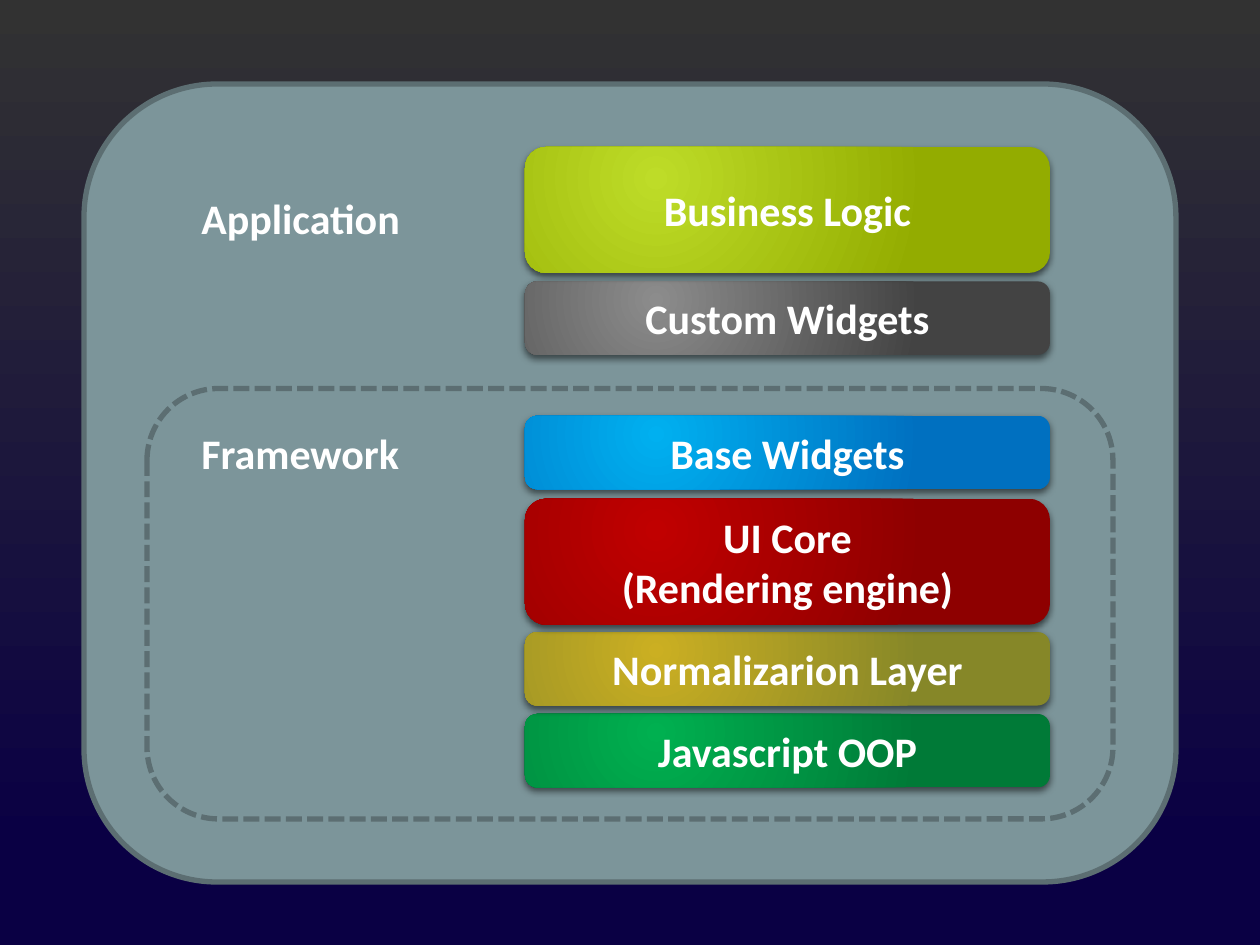
from lxml.etree import SubElement as Sub
from pptx import Presentation
from pptx.dml.color import RGBColor
from pptx.enum.dml import MSO_LINE as Dash
from pptx.enum.shapes import MSO_SHAPE as Kind
from pptx.enum.text import MSO_ANCHOR as Anchor, MSO_AUTO_SIZE as Auto, PP_ALIGN as Align
from pptx.oxml.ns import qn
from pptx.util import Pt

HUES = {
    "navy": "0A0044", "coal": "323232", "panel": "7C959A", "edge": "5C6E72",
    "text": "FFFFFF", "shade": "000000",
    "green": ("00B050", "007A37"), "gold": ("CBAF22", "868728"),
    "red": ("C00000", "8E0000"), "blue": ("00B0F0", "0070C0"),
    "grey": ("8C8C8C", "434343"), "lime": ("BEDC28", "93AC00"),
}
# Layers from the bottom up: top, height, hue, lines
LAYERS = [
    (408, 42, "green", ["Javascript OOP"]),
    (361.2, 42, "gold", ["Normalizarion Layer"]),
    (285, 72, "red", ["UI Core", "(Rendering engine)"]),
    (237.6, 42, "blue", ["Base Widgets"]),
    (160.8, 42, "grey", ["Custom Widgets"]),
    (84, 72, "lime", ["Business Logic"]),
]


def rgb(code):
    return RGBColor.from_string(code)


def blend(fill, pair, start=0):
    fill.gradient()
    for stop, code, spot in zip(fill.gradient_stops, pair, (start, 1)):
        stop.color.rgb = rgb(code)
        stop.position = spot


def write(frame, lines, align):
    for i, line in enumerate(lines):
        para = frame.add_paragraph() if i else frame.paragraphs[0]
        para.alignment = align
        run = para.add_run()
        run.text = line
        font = run.font
        font.name, font.size, font.bold = "Calibri", Pt(24), True
        font.color.rgb = rgb(HUES["text"])


def box(shapes, *area):
    shape = shapes.add_shape(Kind.ROUNDED_RECTANGLE, *map(Pt, area))
    shape.shadow.inherit = False
    return shape


def border(shapes, area, hue=None, dash=None):
    shape = box(shapes, *area)
    if hue:
        shape.fill.solid()
        shape.fill.fore_color.rgb = rgb(HUES[hue])
    else:
        shape.fill.background()
    shape.line.color.rgb = rgb(HUES["edge"])
    shape.line.width = Pt(3.03)
    if dash:
        shape.line.dash_style = dash


def label(shapes, text, *area):
    frame = shapes.add_textbox(*map(Pt, area)).text_frame
    frame.word_wrap = False
    frame.auto_size = Auto.SHAPE_TO_FIT_TEXT
    write(frame, [text], Align.LEFT)


def glow(shape):
    # Radial gradient centred a quarter of the way in
    grad = shape.element.spPr.find(qn("a:gradFill"))
    grad.remove(grad.find(qn("a:lin")))
    ring = Sub(grad, qn("a:path"), path="circle")
    Sub(ring, qn("a:fillToRect"), l="25000", t="25000", r="75000", b="75000")


def shade(shape):
    # Soft shadow straight below
    list_ = shape.element.spPr.find(qn("a:effectLst"))
    drop = Sub(list_, qn("a:outerShdw"), blurRad=str(Pt(4)), dist=str(Pt(2)),
               dir="5400000", algn="ctr", rotWithShape="0")
    tint = Sub(drop, qn("a:srgbClr"), val=HUES["shade"])
    Sub(tint, qn("a:alpha"), val="55000")


def layer(shapes, top, high, hue, lines):
    shape = box(shapes, 300, top, 300, high)
    blend(shape.fill, HUES[hue])
    shape.line.fill.background()
    glow(shape)
    shade(shape)
    frame = shape.text_frame
    frame.word_wrap = True
    frame.vertical_anchor = Anchor.MIDDLE
    write(frame, lines, Align.CENTER)


def main():
    deck = Presentation()
    deck.slide_width, deck.slide_height = Pt(720), Pt(540)
    slide = deck.slides.add_slide(deck.slide_layouts[6])

    # Background, running upwards
    back = slide.background.fill
    blend(back, (HUES["navy"], HUES["coal"]), 0.1)
    back.gradient_angle = 90

    # Application panel
    app = slide.shapes.add_group_shape().shapes
    border(app, (48, 48, 624, 456), "panel")
    label(app, "Application", 108, 106.5, 134, 36)

    # Stack of layers
    for item in LAYERS:
        layer(slide.shapes, *item)

    # Framework outline
    core = slide.shapes.add_group_shape().shapes
    border(core, (84, 222, 552, 246), dash=Dash.SQUARE_DOT)
    label(core, "Framework", 108, 241, 134.5, 37)

    deck.save("out.pptx")


main()
